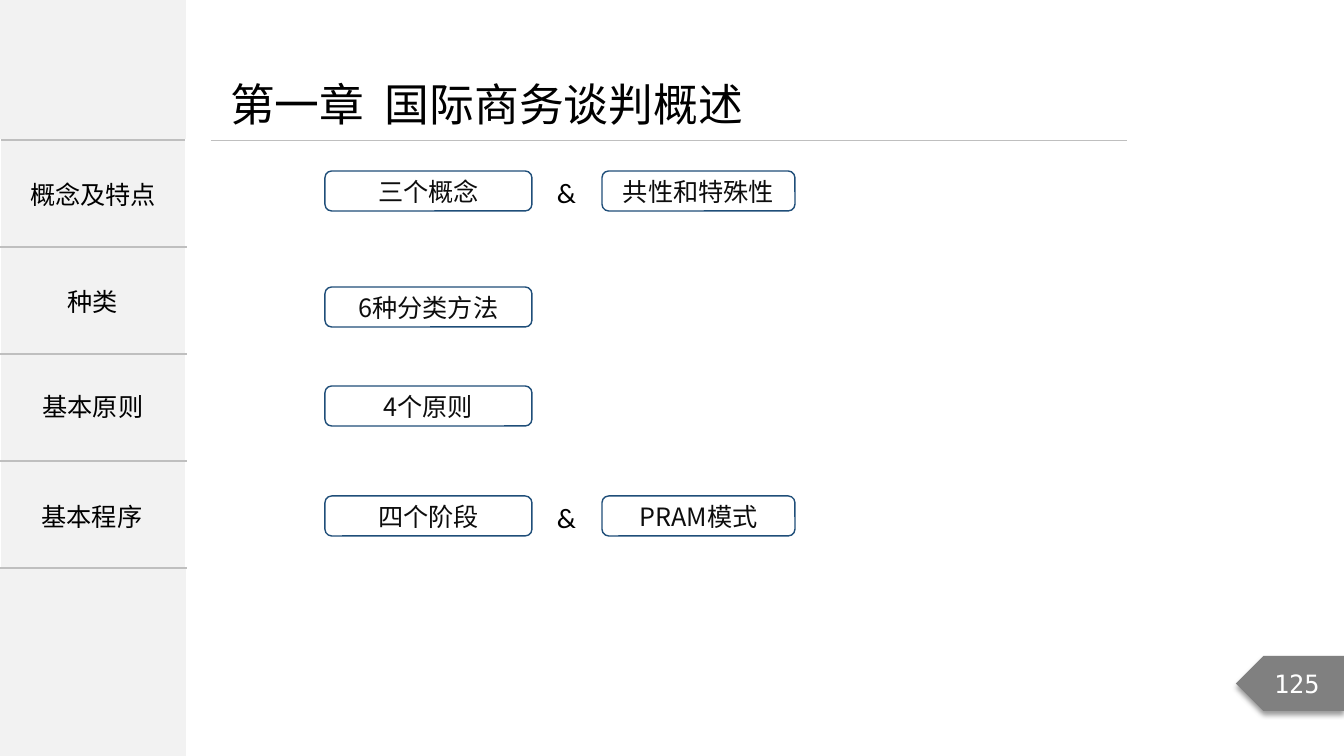
from lxml.etree import SubElement
from pptx import Presentation
from pptx.dml.color import RGBColor
from pptx.enum.shapes import MSO_CONNECTOR, MSO_SHAPE
from pptx.enum.text import MSO_ANCHOR, MSO_AUTO_SIZE, PP_ALIGN
from pptx.oxml import parse_xml
from pptx.oxml.ns import nsdecls, qn
from pptx.util import Emu, Pt

# Content; places are left, top, width, height in px
TITLE = ("第一章  国际商务谈判概述", (220, 72, 563, 64))
PAGE_NUMBER = ("125", (1236, 656, 108, 55))
SIDEBAR = (0, 0, 186, 756)
TABLE_ROWS = ["概念及特点", "种类", "", ""]
TABLE_TOP, ROW_HEIGHT = 140, 107
SIDE_LABELS = [("基本原则", (32, 386, 122, 40)), ("基本程序", (31, 496, 122, 40))]
TOPICS = [  # top, first box, second box
    (171, "三个概念", "共性和特殊性"),
    (287, "6种分类方法", None),
    (386, "4个原则", None),
    (496, "四个阶段", "PRAM模式"),
]
FIRST_LEFT, FIRST_WIDTH = 325, 207
SECOND_LEFT, SECOND_WIDTH = 602, 193
BOX_HEIGHT = 40
AND_LEFT, AND_WIDTH, AND_HEIGHT = 547, 39, 44

COLOURS = {"panel": "F2F2F2", "rule": "BFBFBF", "tag": "808080", "outline": "1F4E79",
           "topic": "0D0D0D", "text": "000000", "white": "FFFFFF"}
CHINESE, LATIN, MONO = "Noto Sans CJK SC", "Calibri", "DejaVu Sans Mono"


def px(value):
    return Emu(round(value * 914400 / 100.8))


def place(box):
    return [px(value) for value in box]


def colour(name):
    return RGBColor.from_string(COLOURS[name])


def write(frame, text, size=18, font=CHINESE, ink="text", align=PP_ALIGN.CENTER):
    para = frame.paragraphs[0]
    para.alignment = align
    span = para.add_run()
    span.text = text
    span.font.size = Pt(size)
    span.font.name = font
    span.font.color.rgb = colour(ink)
    SubElement(span.font._element, qn("a:ea")).set("typeface", font)


def add_label(page, text, box, wrap=False, **style):
    frame = page.shapes.add_textbox(*place(box)).text_frame
    frame.word_wrap = wrap
    write(frame, text, **style)


def add_panel(page, kind, box, fill=None, line=None):
    shape = page.shapes.add_shape(kind, *place(box))
    shape.shadow.inherit = False
    if fill:
        shape.fill.solid()
        shape.fill.fore_color.rgb = colour(fill)
    else:
        shape.fill.background()
    if line:
        shape.line.color.rgb = colour(line)
        shape.line.width = Pt(1)
    else:
        shape.line.fill.background()
    shape.text_frame.vertical_anchor = MSO_ANCHOR.MIDDLE
    return shape


def add_topic(page, text, box):
    shape = add_panel(page, MSO_SHAPE.ROUNDED_RECTANGLE, box, line="outline")
    write(shape.text_frame, text, ink="topic")


def add_sidebar_table(page):
    box = (0, TABLE_TOP, SIDEBAR[2], ROW_HEIGHT * len(TABLE_ROWS))
    frame = page.shapes.add_table(len(TABLE_ROWS), 1, *place(box))
    table = frame.table
    table.first_row = table.horz_banding = False
    for index, text in enumerate(TABLE_ROWS):
        table.rows[index].height = px(ROW_HEIGHT)
        cell = table.cell(index, 0)
        cell.fill.background()
        cell.vertical_anchor = MSO_ANCHOR.MIDDLE
        if text:
            write(cell.text_frame, text)
        properties = cell._tc.get_or_add_tcPr()
        for position, side in enumerate(("lnT", "lnB")):
            properties.insert(position, parse_xml(
                f'<a:{side} {nsdecls("a")} w="12700"><a:solidFill>'
                f'<a:srgbClr val="{COLOURS["rule"]}"/></a:solidFill></a:{side}>'))


def add_page_tag(page):
    text, box = PAGE_NUMBER
    tag = add_panel(page, MSO_SHAPE.PENTAGON, box, fill="tag")
    tag._element.spPr.find(qn("a:xfrm")).set("flipH", "1")
    effects = tag._element.spPr.find(qn("a:effectLst"))
    effects.append(parse_xml(
        f'<a:outerShdw {nsdecls("a")} blurRad="50800" dist="38100" dir="5400000" '
        'algn="t" rotWithShape="0"><a:srgbClr val="000000">'
        '<a:alpha val="40000"/></a:srgbClr></a:outerShdw>'))
    write(tag.text_frame, text, font=MONO, ink="white")


def main():
    deck = Presentation()
    deck.slide_width, deck.slide_height = px(1344), px(756)
    page = deck.slides.add_slide(deck.slide_layouts[5])

    # Sidebar
    add_panel(page, MSO_SHAPE.RECTANGLE, SIDEBAR, fill="panel")
    add_sidebar_table(page)
    for text, box in SIDE_LABELS:
        add_label(page, text, box)

    # Title and rule
    title = page.shapes.title
    title.left, title.top, title.width, title.height = place(TITLE[1])
    title.text_frame.word_wrap = False
    title.text_frame.auto_size = MSO_AUTO_SIZE.NONE
    title.text_frame.vertical_anchor = MSO_ANCHOR.TOP
    write(title.text_frame, TITLE[0], size=32, align=PP_ALIGN.LEFT)
    rule = page.shapes.add_connector(MSO_CONNECTOR.STRAIGHT, *place((211, 140, 1127, 140)))
    rule.line.color.rgb = colour("rule")
    rule.line.width = Pt(0.5)
    SubElement(rule._element.spPr, qn("a:effectLst"))

    # Topic boxes
    for top, first, second in TOPICS:
        add_topic(page, first, (FIRST_LEFT, top, FIRST_WIDTH, BOX_HEIGHT))
        if second:
            add_label(page, "&", (AND_LEFT, top, AND_WIDTH, AND_HEIGHT), wrap=True,
                      size=20, font=LATIN, align=PP_ALIGN.LEFT)
            add_topic(page, second, (SECOND_LEFT, top, SECOND_WIDTH, BOX_HEIGHT))

    # Page number
    add_page_tag(page)
    deck.save("out.pptx")


if __name__ == "__main__":
    main()
